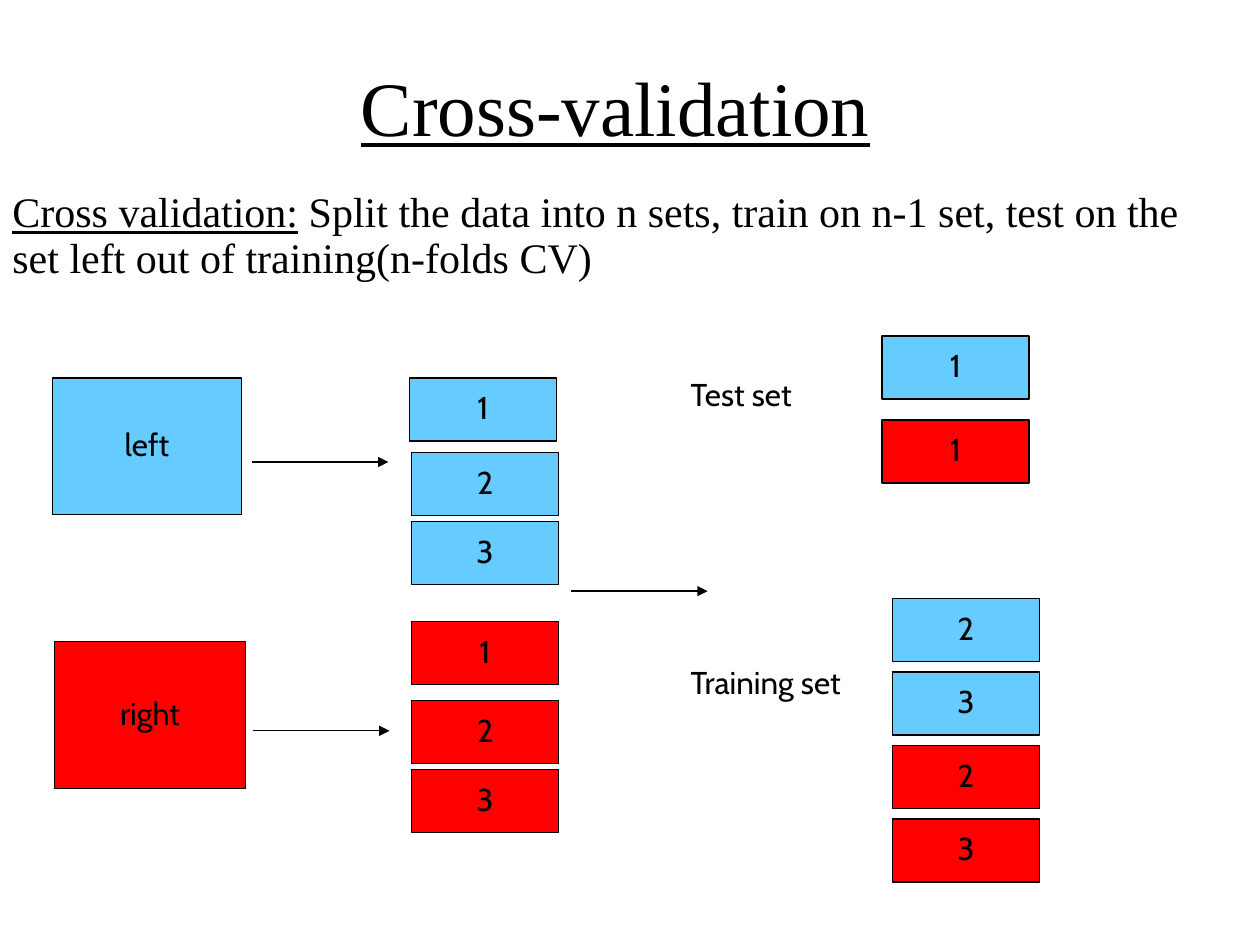
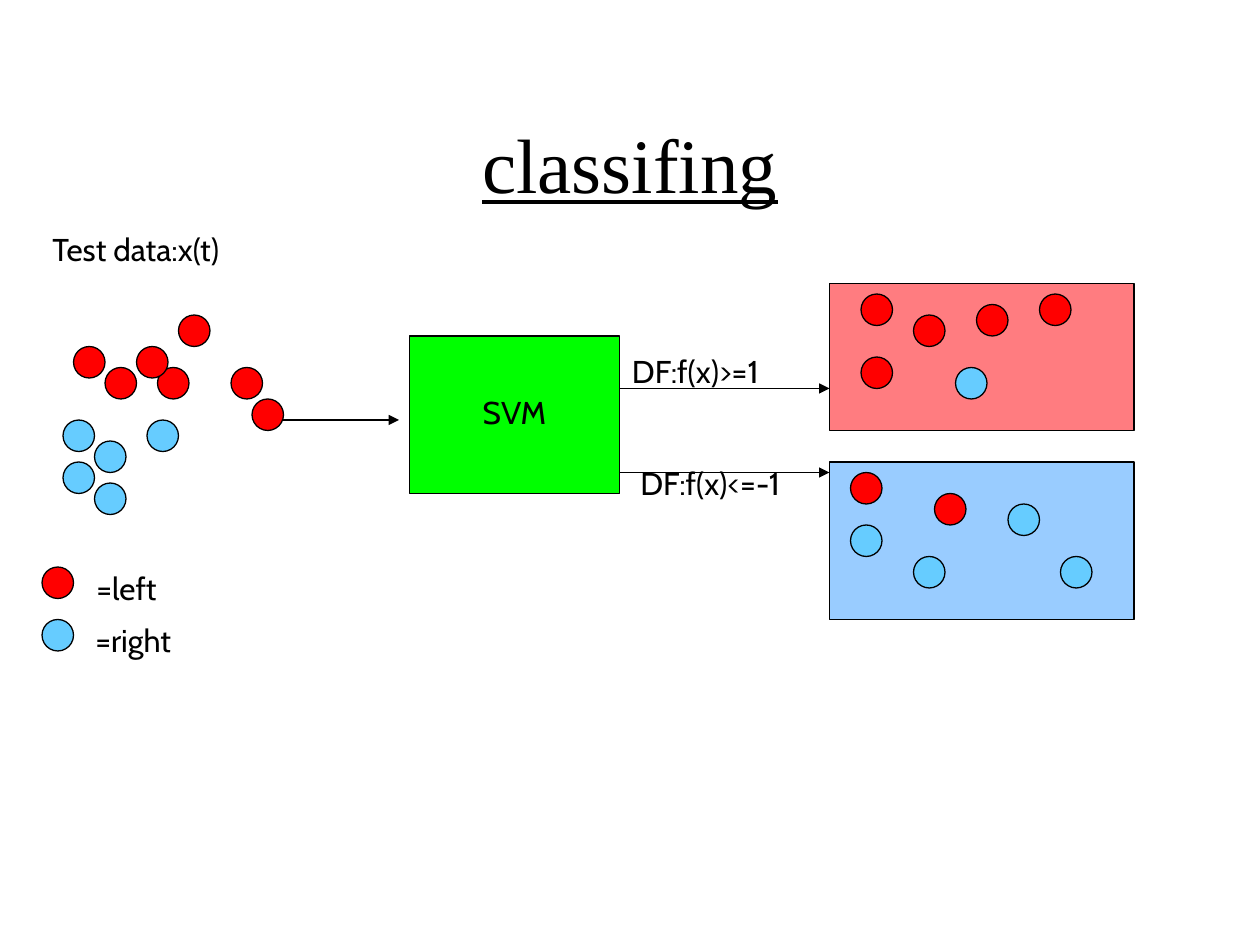
from dataclasses import dataclass

from lxml.etree import SubElement
from pptx import Presentation
from pptx.dml.color import RGBColor
from pptx.enum.shapes import MSO_CONNECTOR, MSO_SHAPE
from pptx.enum.text import MSO_ANCHOR, MSO_AUTO_SIZE, PP_ALIGN
from pptx.oxml.ns import qn
from pptx.presentation import Presentation as Deck
from pptx.slide import Slide
from pptx.text.text import Font
from pptx.util import Inches, Length, Pt


@dataclass(frozen=True)
class Theme:
    """Colours, fonts, type sizes and line widths shared by the slides."""

    ink: str = "000000"
    red: str = "FF0000"
    blue: str = "66CCFF"
    pink: str = "FF7C80"
    pale_blue: str = "99CCFF"
    green: str = "00FF00"
    serif: str = "Times New Roman"
    sans: str = "Cabin"
    title_size: int = 44
    body_size: int = 24
    label_size: int = 18
    line_width: float = 0.75
    line_spacing: float = 0.9


@dataclass(frozen=True)
class Area:
    """A rectangle in grid columns and rows."""

    column: float
    row: float
    columns: float
    rows: float


@dataclass(frozen=True)
class Box:
    """A filled rectangle with an optional centred label."""

    area: Area
    fill: str
    label: str = ""


@dataclass(frozen=True)
class Label:
    """A short text; a wrapped label keeps the width of its area."""

    text: str
    area: Area
    wrap: bool = False


@dataclass(frozen=True)
class Arrow:
    """A horizontal arrow that points right."""

    column: float
    row: float
    columns: float


@dataclass(frozen=True)
class Dots:
    """Circles of one colour, placed by column and row."""

    fill: str
    places: tuple[tuple[float, float], ...]


THEME = Theme()
SLIDE_WIDTH, SLIDE_HEIGHT = Inches(10), Inches(7.5)
COLUMNS, ROWS = 120, 90
DOT_SIZE = 3
LABEL_ROWS = 4.44
FOLD_COLUMNS, FOLD_ROWS = 14, 6


def across(columns: float) -> Length:
    """Convert grid columns to a length."""
    return Length(round(SLIDE_WIDTH * columns / COLUMNS))


def down(rows: float) -> Length:
    """Convert grid rows to a length."""
    return Length(round(SLIDE_HEIGHT * rows / ROWS))


def bounds(area: Area) -> tuple[Length, Length, Length, Length]:
    """Return left, top, width and height of an area."""
    return across(area.column), down(area.row), across(area.columns), down(area.rows)


def style_font(font: Font, name: str, size: float, underline: bool = False) -> None:
    """Apply a typeface, a size and the ink colour."""
    font.name = name
    font.size = Pt(size)
    font.underline = underline
    font.color.rgb = RGBColor.from_string(THEME.ink)


def add_titled_slide(presentation: Deck, title: str, area: Area) -> Slide:
    """Add a title-only slide with an underlined, centred title."""
    slide = presentation.slides.add_slide(presentation.slide_layouts[5])
    shape = slide.shapes.title
    shape.left, shape.top, shape.width, shape.height = bounds(area)
    text_frame = shape.text_frame
    text_frame.text = title
    text_frame.auto_size = MSO_AUTO_SIZE.NONE
    text_frame.vertical_anchor = MSO_ANCHOR.MIDDLE
    paragraph = text_frame.paragraphs[0]
    paragraph.alignment = PP_ALIGN.CENTER
    style_font(paragraph.runs[0].font, THEME.serif, THEME.title_size, True)
    return slide


def add_filled_shape(slide: Slide, kind: MSO_SHAPE, box: Box) -> None:
    """Draw an outlined preset shape with its label."""
    shape = slide.shapes.add_shape(kind, *bounds(box.area))
    shape.shadow.inherit = False
    shape.fill.solid()
    shape.fill.fore_color.rgb = RGBColor.from_string(box.fill)
    shape.line.color.rgb = RGBColor.from_string(THEME.ink)
    shape.line.width = Pt(THEME.line_width)
    if box.label:
        text_frame = shape.text_frame
        text_frame.text = box.label
        text_frame.word_wrap = False
        text_frame.vertical_anchor = MSO_ANCHOR.MIDDLE
        paragraph = text_frame.paragraphs[0]
        paragraph.alignment = PP_ALIGN.CENTER
        paragraph.line_spacing = THEME.line_spacing
        style_font(paragraph.runs[0].font, THEME.sans, THEME.label_size)


def add_boxes(slide: Slide, boxes: list[Box]) -> None:
    """Draw rectangles."""
    for box in boxes:
        add_filled_shape(slide, MSO_SHAPE.RECTANGLE, box)


def add_dots(slide: Slide, groups: list[Dots]) -> None:
    """Draw groups of equal circles."""
    for group in groups:
        for column, row in group.places:
            area = Area(column, row, DOT_SIZE, DOT_SIZE)
            add_filled_shape(slide, MSO_SHAPE.OVAL, Box(area, group.fill))


def add_labels(slide: Slide, labels: list[Label]) -> None:
    """Write free-standing labels."""
    for label in labels:
        text_frame = slide.shapes.add_textbox(*bounds(label.area)).text_frame
        text_frame.text = label.text
        text_frame.word_wrap = label.wrap
        text_frame.auto_size = MSO_AUTO_SIZE.SHAPE_TO_FIT_TEXT
        paragraph = text_frame.paragraphs[0]
        paragraph.line_spacing = THEME.line_spacing
        style_font(paragraph.runs[0].font, THEME.sans, THEME.label_size)


def add_arrows(slide: Slide, arrows: list[Arrow]) -> None:
    """Draw arrows with a triangular head."""
    for arrow in arrows:
        level = down(arrow.row)
        connector = slide.shapes.add_connector(
            MSO_CONNECTOR.STRAIGHT, across(arrow.column), level,
            across(arrow.column + arrow.columns), level)
        connector.line.color.rgb = RGBColor.from_string(THEME.ink)
        connector.line.width = Pt(THEME.line_width)
        properties = connector._element.spPr
        SubElement(properties.find(qn("a:ln")), qn("a:tailEnd"), type="triangle")
        SubElement(properties, qn("a:effectLst"))


def fold(column: float, row: float, fill: str, number: int) -> Box:
    """Describe one numbered part of a data set."""
    return Box(Area(column, row, FOLD_COLUMNS, FOLD_ROWS), fill, str(number))


def add_definition(slide: Slide, term: str, meaning: str, area: Area) -> None:
    """Write an underlined term followed by its meaning."""
    text_frame = slide.shapes.add_textbox(*bounds(area)).text_frame
    text_frame.word_wrap = True
    paragraph = text_frame.paragraphs[0]
    paragraph.line_spacing = THEME.line_spacing
    for text, underline in ((term, True), (meaning, False)):
        run = paragraph.add_run()
        run.text = text
        style_font(run.font, THEME.serif, THEME.body_size, underline)


def build_cross_validation(presentation: Deck) -> None:
    """Build the slide that splits the data into folds."""
    slide = add_titled_slide(presentation, "Cross-validation", Area(9, 4.3, 99.25, 11.5))
    add_definition(
        slide, "Cross validation:",
        " Split the data into n sets, train on n-1 set, test on the set left out of "
        "training(n-folds CV)", Area(0, 17.65, 115.8, 9.85))
    classes = [Box(Area(5, 36, 18, 13), THEME.blue, "left"),
               Box(Area(5.2, 61.1, 18.2, 14), THEME.red, "right")]
    split = [fold(39, 36, THEME.blue, 1)]
    split += [fold(39.2, row, THEME.blue, number)
              for number, row in ((2, 43.1), (3, 49.7))]
    split += [fold(39.2, row, THEME.red, number)
              for number, row in ((1, 59.2), (2, 66.7), (3, 73.3))]
    test = [fold(84, 32 + 8 * index, fill, 1)
            for index, fill in enumerate((THEME.blue, THEME.red))]
    training_parts = [(fill, number) for fill in (THEME.blue, THEME.red) for number in (2, 3)]
    training = [fold(85, 57 + 7 * index, fill, number)
                for index, (fill, number) in enumerate(training_parts)]
    add_boxes(slide, classes + split + test + training)
    add_labels(slide, [Label("Test set", Area(64.6, 35.5, 13.2, LABEL_ROWS)),
                       Label("Training set", Area(64.6, 63, 19.1, LABEL_ROWS))])
    add_arrows(slide, [Arrow(24, 44, 13), Arrow(54.4, 56.3, 13), Arrow(24.1, 69.6, 13)])


def build_classifying(presentation: Deck) -> None:
    """Build the slide that sorts test data with a classifier."""
    slide = add_titled_slide(presentation, "classifing", Area(9, 8, 102, 15))
    add_boxes(slide, [Box(Area(79, 27, 29, 14), THEME.pink),
                      Box(Area(79, 44, 29, 15), THEME.pale_blue),
                      Box(Area(39, 32, 20, 15), THEME.green, "SVM")])
    add_arrows(slide, [Arrow(26, 40, 12), Arrow(59, 37, 20), Arrow(59, 45, 20)])
    test_data = [
        Dots(THEME.red, ((7, 33), (15, 35), (13, 33), (10, 35), (22, 35), (24, 38), (17, 30))),
        Dots(THEME.blue, ((6, 44), (6, 40), (9, 42), (9, 46), (14, 40)))]
    above = [Dots(THEME.red, ((82, 28), (87, 30), (93, 29), (99, 28), (82, 34))),
             Dots(THEME.blue, ((91, 35),))]
    below = [Dots(THEME.red, ((81, 45), (89, 47))),
             Dots(THEME.blue, ((81, 50), (87, 53), (96, 48), (101, 53)))]
    legend = [Dots(THEME.red, ((4, 54),)), Dots(THEME.blue, ((4, 59),))]
    add_dots(slide, test_data + above + below + legend)
    add_labels(slide, [Label("Test data:x(t)", Area(3.8, 21.7, 36.4, LABEL_ROWS), True),
                       Label("=left", Area(8, 54, 8.6, LABEL_ROWS)),
                       Label("=right", Area(7.9, 59, 10.9, LABEL_ROWS)),
                       Label("DF:f(x)>=1", Area(59, 33.35, 18.8, LABEL_ROWS), True),
                       Label("DF:f(x)<=-1", Area(59.8, 44, 17.4, LABEL_ROWS))])


def main() -> None:
    """Build and save the presentation."""
    presentation = Presentation()
    presentation.slide_width, presentation.slide_height = SLIDE_WIDTH, SLIDE_HEIGHT
    build_cross_validation(presentation)
    build_classifying(presentation)
    presentation.save("out.pptx")


if __name__ == "__main__":
    main()
